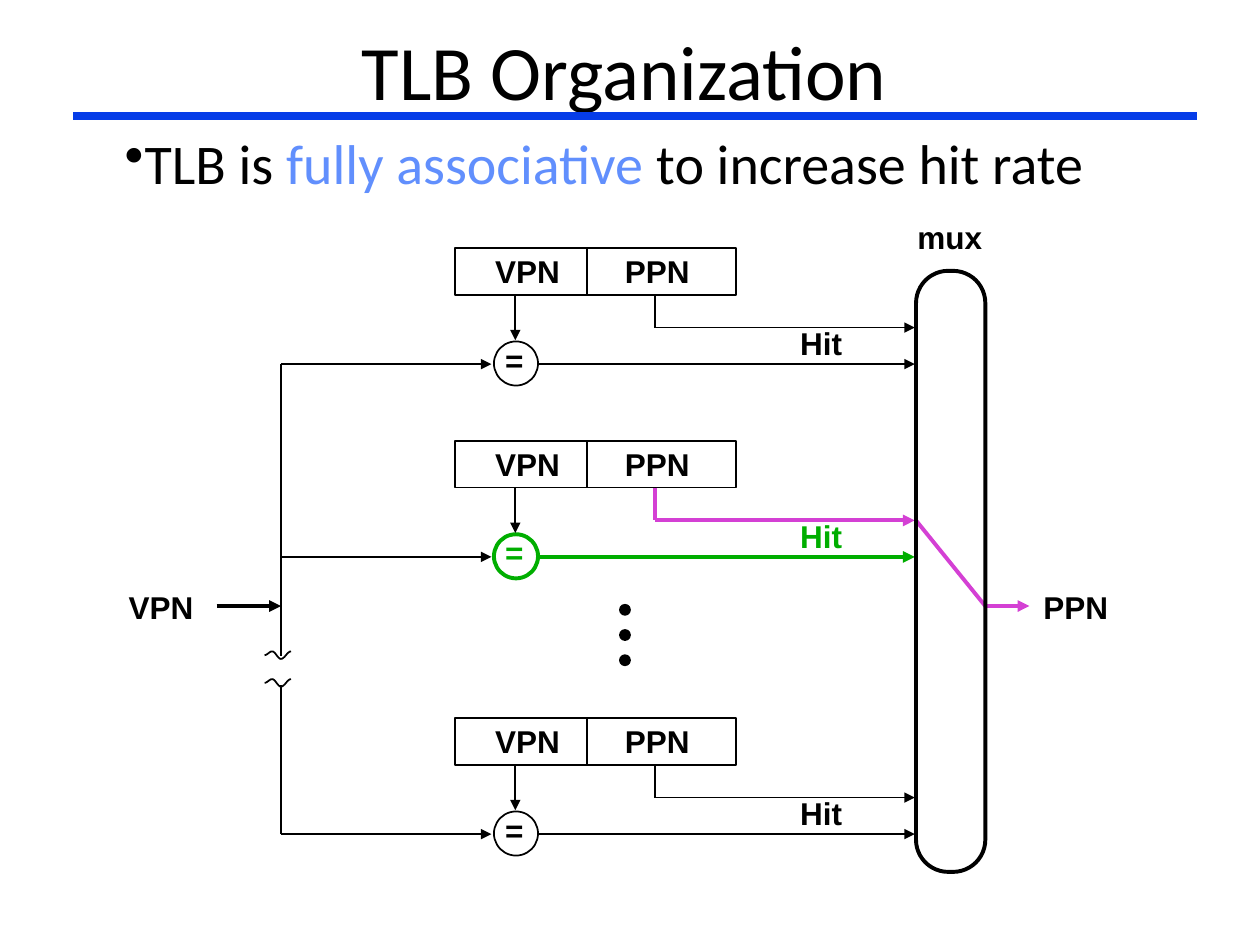
import math

from lxml import etree
from pptx import Presentation
from pptx.dml.color import RGBColor
from pptx.enum.shapes import MSO_CONNECTOR, MSO_SHAPE
from pptx.enum.text import MSO_ANCHOR, PP_ALIGN
from pptx.oxml.ns import qn
from pptx.util import Inches, Pt

STRAIGHT = MSO_CONNECTOR.STRAIGHT
RECTANGLE, OVAL = MSO_SHAPE.RECTANGLE, MSO_SHAPE.OVAL
ROUNDED = MSO_SHAPE.ROUNDED_RECTANGLE
MIDDLE, CENTER = MSO_ANCHOR.MIDDLE, PP_ALIGN.CENTER

BLACK = RGBColor(0x00, 0x00, 0x00)
GREEN = RGBColor(0x00, 0xAE, 0x00)
MAGENTA = RGBColor(0xD4, 0x40, 0xD4)
RULE_BLUE = RGBColor(0x06, 0x3D, 0xE8)
TERM_BLUE = RGBColor(0x61, 0x8F, 0xFD)

THIN, THICK = 1, 2.25
BUS_X, MUX_LEFT, MUX_RIGHT = 2.23, 7.27, 7.82
OUTPUT_Y = 4.81
# Top of each TLB entry, colour and width of its hit path and of its PPN path
ENTRIES = [
    (1.97, BLACK, BLACK, THIN),
    (3.5, GREEN, MAGENTA, THICK),
    (5.7, BLACK, BLACK, THIN),
]


def style_line(line, color, width):
    line.color.rgb = color
    line.width = Pt(width)


def add_wire(slide, start, end, color=BLACK, width=THIN, arrow=False):
    wire = slide.shapes.add_connector(
        STRAIGHT, *(Inches(v) for v in (*start, *end)))
    style_line(wire.line, color, width)
    if arrow:
        etree.SubElement(wire.line._get_or_add_ln(), qn("a:tailEnd"), type="triangle")
    etree.SubElement(wire._element.spPr, qn("a:effectLst"))


def add_outline(slide, preset, box, color=BLACK, width=THIN, fill=None):
    outline = slide.shapes.add_shape(preset, *(Inches(v) for v in box))
    outline.shadow.inherit = False
    if fill is None:
        outline.fill.background()
    else:
        outline.fill.solid()
        outline.fill.fore_color.rgb = fill
    style_line(outline.line, color, width)
    return outline


def add_text(slide, box, runs, size, font_name, bold=False, bullet=None, **layout):
    """Add one paragraph of (text, colour) runs; layout holds paragraph formats."""
    frame = slide.shapes.add_textbox(*(Inches(v) for v in box)).text_frame
    frame_format = {
        "word_wrap": True,
        "vertical_anchor": layout.pop("anchor", None),
        "margin_left": Inches(0.09),
        "margin_right": Inches(0.09),
        "margin_top": Inches(0.04),
        "margin_bottom": Inches(0.04),
    }
    for name, value in frame_format.items():
        setattr(frame, name, value)
    paragraph = frame.paragraphs[0]
    for name, value in layout.items():
        setattr(paragraph, name, value)
    if bullet:
        etree.SubElement(paragraph._p.get_or_add_pPr(), qn("a:buChar"), char=bullet)
    for text, color in runs:
        run = paragraph.add_run()
        run.text = text
        for name, value in {"size": Pt(size), "name": font_name, "bold": bold}.items():
            setattr(run.font, name, value)
        run.font.color.rgb = color


def add_label(slide, left, top, text, width=0.71, color=BLACK):
    add_text(slide, (left, top, width, 0.37), [(text, color)], 18, "Arial",
             bold=True, line_spacing=0.93)


def add_break_mark(slide, middle):
    """Draw the wavy mark where the VPN bus is interrupted."""
    turns = [(2.1, 0), (2.16, -0.03), (2.23, 0.03), (2.31, -0.03)]
    steps = 8
    points = []
    for (x0, y0), (x1, y1) in zip(turns, turns[1:]):
        for step in range(1, steps + 1):
            ease = (1 - math.cos(math.pi * step / steps)) / 2
            points.append((x0 + (x1 - x0) * step / steps,
                           middle + y0 + (y1 - y0) * ease))
    builder = slide.shapes.build_freeform(
        Inches(turns[0][0]), Inches(middle), scale=1.0)
    builder.add_line_segments([(Inches(x), Inches(y)) for x, y in points], close=False)
    wave = builder.convert_to_shape()
    wave.shadow.inherit = False
    wave.fill.background()
    style_line(wave.line, BLACK, THIN)


def add_entry(slide, top, hit_color, ppn_color, width):
    """Draw one TLB entry with its comparator and its paths to the mux."""
    compare_y, ppn_y, bottom = top + 0.92, top + 0.63, top + 0.37
    add_outline(slide, RECTANGLE, (3.61, top, 2.23, 0.37))
    add_wire(slide, (4.66, top), (4.66, bottom))
    add_label(slide, 3.84, top + 0.02, "VPN")
    add_label(slide, 4.87, top + 0.02, "PPN")
    add_outline(slide, OVAL, (3.92, top + 0.74, 0.35, 0.35), hit_color, width)
    add_label(slide, 3.92, top + 0.72, "=", 0.36, hit_color)
    add_wire(slide, (4.09, bottom), (4.09, top + 0.73), arrow=True)
    add_wire(slide, (BUS_X, compare_y), (3.9, compare_y), arrow=True)
    add_wire(slide, (4.28, compare_y), (7.26, compare_y), hit_color, width, True)
    add_label(slide, 6.26, top + 0.59, "Hit", 0.53, hit_color)
    add_wire(slide, (5.2, bottom), (5.2, ppn_y), ppn_color, width)
    add_wire(slide, (5.2, ppn_y), (7.26, ppn_y), ppn_color, width, True)


def add_vpn_bus(slide):
    add_wire(slide, (BUS_X, 2.89), (BUS_X, 5.21))
    add_wire(slide, (BUS_X, 6.62), (BUS_X, 5.44))
    for middle in (5.2, 5.42):
        add_break_mark(slide, middle)
    add_label(slide, 0.93, 4.65, "VPN")
    add_wire(slide, (1.72, OUTPUT_Y), (BUS_X, OUTPUT_Y), width=THICK, arrow=True)


def add_mux(slide):
    add_label(slide, 7.19, 1.72, "mux")
    add_wire(slide, (MUX_RIGHT, OUTPUT_Y), (8.17, OUTPUT_Y), MAGENTA, THICK, True)
    add_label(slide, 8.19, 4.65, "PPN")
    add_wire(slide, (MUX_LEFT, 4.13), (MUX_RIGHT, OUTPUT_Y), MAGENTA, THICK)
    body = add_outline(slide, ROUNDED,
                       (MUX_LEFT, 2.15, MUX_RIGHT - MUX_LEFT, 4.77), width=THICK)
    body.adjustments[0] = 0.465


def main():
    prs = Presentation()
    prs.slide_width, prs.slide_height = Inches(10), Inches(7.5)
    slide = prs.slides.add_slide(prs.slide_layouts[6])

    add_text(slide, (0.83, 0.14, 8.25, 0.83), [("TLB Organization", BLACK)],
             44, "Calibri", anchor=MIDDLE, alignment=CENTER)
    add_text(slide, (0.9, 0.98, 8, 0.67),
             [("TLB is ", BLACK), ("fully associative", TERM_BLUE),
              (" to increase hit rate", BLACK)],
             32, "Calibri", bullet="•")
    for entry in ENTRIES:
        add_entry(slide, *entry)
    for dot in range(3):
        add_outline(slide, OVAL, (4.92, 4.8 + 0.2 * dot, 0.08, 0.08), fill=BLACK)
    add_vpn_bus(slide)
    add_mux(slide)
    add_wire(slide, (0.58, 0.92), (9.5, 0.92), RULE_BLUE, 4.5)

    prs.save("out.pptx")


if __name__ == "__main__":
    main()
